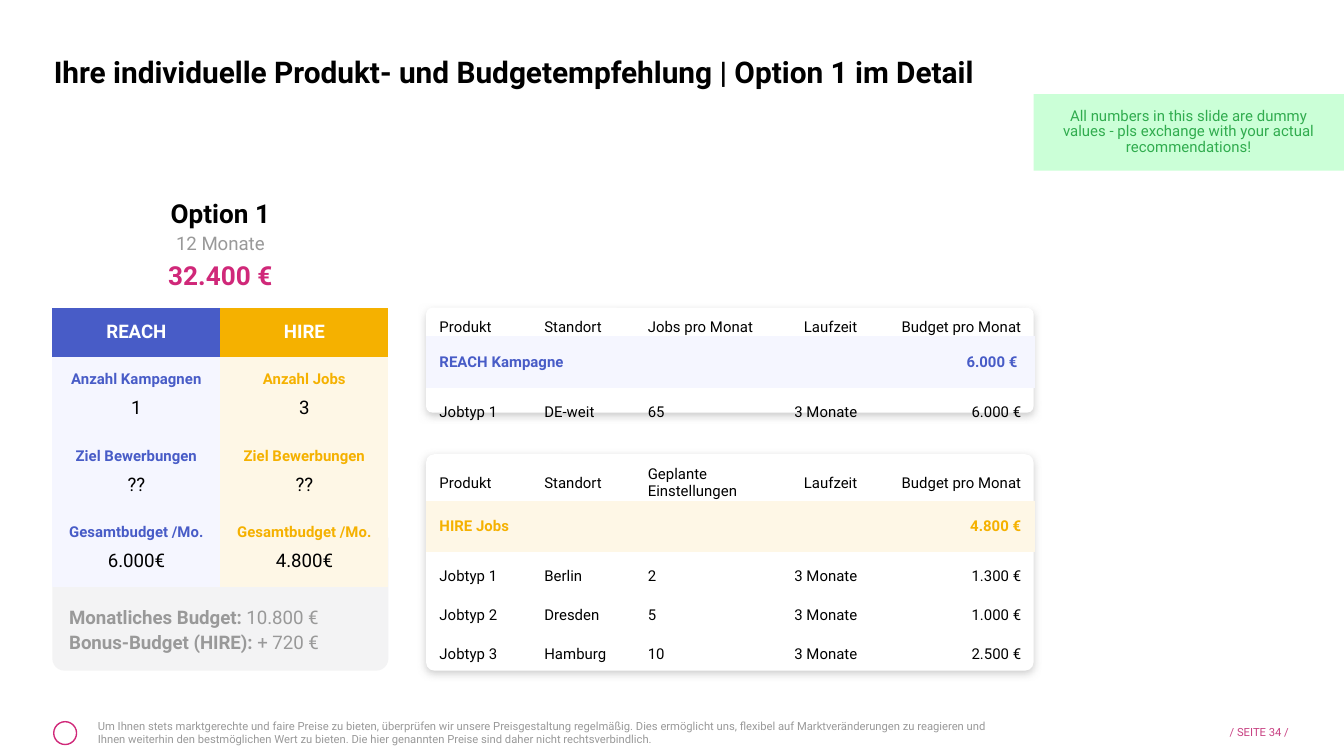
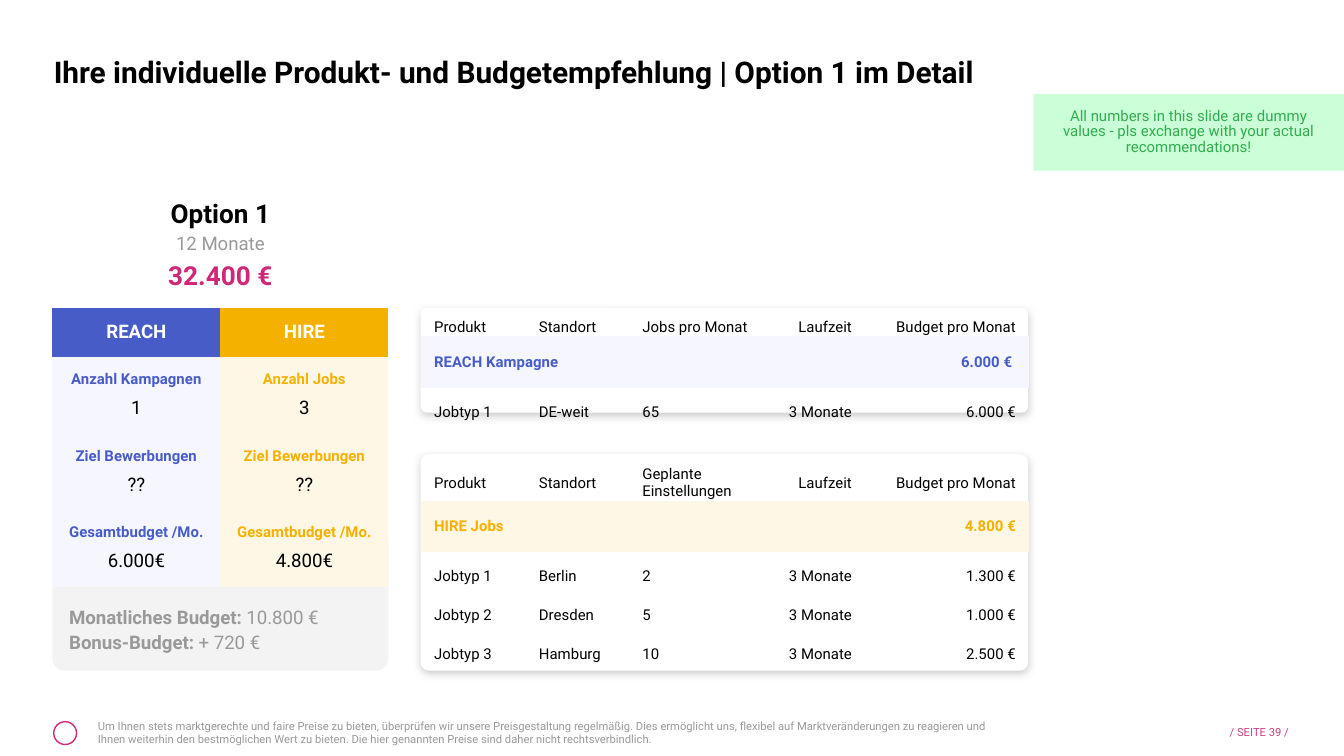
from lxml import etree
from pptx import Presentation
from pptx.dml.color import RGBColor
from pptx.enum.shapes import MSO_SHAPE
from pptx.enum.text import MSO_ANCHOR, MSO_AUTO_SIZE, PP_ALIGN
from pptx.oxml.ns import qn
from pptx.util import Inches, Pt

COLORS = {
    "white": "FFFFFF", "black": "000000", "grey": "999999", "panel": "F3F3F4",
    "pink": "D02879", "page": "C84182", "reach": "485CC7", "hire": "F5B100",
    "reach_tint": "F5F6FF", "hire_tint": "FEF7E6",
    "note": "CBFFD7", "note_text": "30AC4E",
}
FONT = "Roboto"
NO_STYLE_NO_GRID = "{2D5ABB26-0587-4C30-8999-92F81FD0307C}"
LEFT, CENTER, RIGHT = PP_ALIGN.LEFT, PP_ALIGN.CENTER, PP_ALIGN.RIGHT
TOP, MIDDLE, BOTTOM = MSO_ANCHOR.TOP, MSO_ANCHOR.MIDDLE, MSO_ANCHOR.BOTTOM

# Positions and lengths count columns and rows of a square grid, 100 columns wide.
SUMMARY_LEFT, SUMMARY_WIDTH = 3.9, 25
TABLES_TOP = 22.9
CARD_WIDTH = 45.2
PRODUCT_COLUMNS = [7.8, 7.7, 10.3, 7.3, 12.2]
PRODUCT_ALIGN = [LEFT, LEFT, LEFT, RIGHT, RIGHT]

TITLE = "Ihre individuelle Produkt- und Budgetempfehlung | Option 1 im Detail"
PRICE_NOTE = (
    "Um Ihnen stets marktgerechte und faire Preise zu bieten, überprüfen wir unsere "
    "Preisgestaltung regelmäßig. Dies ermöglicht uns, flexibel auf Marktveränderungen "
    "zu reagieren und Ihnen weiterhin den bestmöglichen Wert zu bieten. Die hier "
    "genannten Preise sind daher nicht rechtsverbindlich."
)
DUMMY_NOTE = ("All numbers in this slide are dummy values - pls exchange with your "
              "actual recommendations!")
SUMMARY = {
    "reach": [("Anzahl Kampagnen", "1"), ("Ziel Bewerbungen", "??"),
              ("Gesamtbudget /Mo.", "6.000€")],
    "hire": [("Anzahl Jobs", "3"), ("Ziel Bewerbungen", "??"),
             ("Gesamtbudget /Mo.", "4.800€")],
}
PRODUCTS = [
    {"tone": "hire", "top": 33.8, "height": 16.1, "corner": 0.038, "span": 1,
     "heights": [3.2, 2.9, 2.9, 2.9, 2.9],
     "rows": [
         ["Produkt", "Standort", "Geplante Einstellungen", "Laufzeit", "Budget pro Monat"],
         ["HIRE Jobs", "", "", "", "4.800 €"],
         ["Jobtyp 1", "Berlin", "2", "3 Monate", "1.300 €"],
         ["Jobtyp 2", "Dresden", "5", "3 Monate", "1.000 €"],
         ["Jobtyp 3", "Hamburg", "10", "3 Monate", "2.500 €"]]},
    {"tone": "reach", "top": TABLES_TOP, "height": 7.8, "corner": 0.061, "span": 2,
     "heights": [1.1, 2, 2.9],
     "rows": [
         ["Produkt", "Standort", "Jobs pro Monat", "Laufzeit", "Budget pro Monat"],
         ["REACH Kampagne", "", "", "", "6.000 € "],
         ["Jobtyp 1", "DE-weit", "65", "3 Monate", "6.000 €"]]},
]
SLIDES = [
    {"page": 34, "cards_left": 31.7, "bonus": "Bonus-Budget (HIRE):"},
    {"page": 39, "cards_left": 31.3, "bonus": "Bonus-Budget:"},
]


def rgb(name):
    return RGBColor.from_string(COLORS[name])


def set_all(target, values):
    for attribute, value in values.items():
        setattr(target, attribute, value)


def run(text, size, color, bold=False):
    return text, color, {"size": Pt(size), "bold": bold, "name": FONT}


def paragraph(*runs, **layout):
    return runs, layout


class Deck:
    """Holds the shared style, the grid and the slide being built."""

    def __init__(self):
        self.prs = Presentation()
        set_all(self.prs, {"slide_width": Inches(10), "slide_height": Inches(5.625)})
        self.slide = None

    def grid(self, *counts):
        return [round(count * self.prs.slide_width / 100) for count in counts]

    def new_slide(self):
        self.slide = self.prs.slides.add_slide(self.prs.slide_layouts[5])

    def add_paragraphs(self, frame, paragraphs):
        for index, (runs, layout) in enumerate(paragraphs):
            line = frame.add_paragraph() if index else frame.paragraphs[0]
            set_all(line, layout)
            for text, color, font in runs:
                piece = line.add_run()
                piece.text = text
                set_all(piece.font, font)
                piece.font.color.rgb = rgb(color)

    def inset(self, target, left=1, top=1, right=1, bottom=1):
        sides = ("margin_left", "margin_top", "margin_right", "margin_bottom")
        set_all(target, dict(zip(sides, self.grid(left, top, right, bottom))))

    def fill_frame(self, frame, paragraphs, anchor=TOP, inset=1, fit=MSO_AUTO_SIZE.NONE):
        set_all(frame, {"word_wrap": True, "auto_size": fit, "vertical_anchor": anchor})
        self.inset(frame, *[inset] * 4)
        self.add_paragraphs(frame, paragraphs)

    def title(self, text):
        heading = self.slide.shapes.title
        box = zip(("left", "top", "width", "height"), self.grid(4, 4, 91.9, 2.7))
        set_all(heading, dict(box))
        self.fill_frame(heading.text_frame,
                        [paragraph(run(text, 16, "black", True), alignment=LEFT)],
                        inset=0, fit=MSO_AUTO_SIZE.SHAPE_TO_FIT_TEXT)

    def text(self, box, paragraphs, **frame_options):
        label = self.slide.shapes.add_textbox(*self.grid(*box))
        self.fill_frame(label.text_frame, paragraphs, **frame_options)

    def shape(self, kind, box, fill=None, line=None, corners=(), paragraphs=(), anchor=MIDDLE):
        shape = self.slide.shapes.add_shape(kind, *self.grid(*box))
        shape.shadow.inherit = False
        for index, corner in enumerate(corners):
            shape.adjustments[index] = corner
        if fill:
            shape.fill.solid()
            shape.fill.fore_color.rgb = rgb(fill)
        else:
            shape.fill.background()
        if line:
            shape.line.color.rgb = rgb(line)
            shape.line.width = Pt(0.75)
        else:
            shape.line.fill.background()
        if paragraphs:
            self.fill_frame(shape.text_frame, paragraphs, anchor)
        return shape

    def card(self, box, corner):
        """White rounded card with a soft shadow below it."""
        card = self.shape(MSO_SHAPE.ROUNDED_RECTANGLE, box, "white", corners=[corner])
        effects = card._element.spPr.find(qn("a:effectLst"))
        shadow = etree.SubElement(effects, qn("a:outerShdw"), blurRad=str(Pt(4.5)),
                                  dist=str(Pt(1.5)), dir="5400000", algn="bl",
                                  rotWithShape="0")
        color = etree.SubElement(shadow, qn("a:srgbClr"), val=COLORS["grey"])
        etree.SubElement(color, qn("a:alpha"), val="50000")

    def table(self, left, top, columns, heights):
        frame = self.slide.shapes.add_table(
            len(heights), len(columns),
            *self.grid(left, top, sum(columns), sum(heights)))
        table = frame.table
        set_all(table, {"first_row": False, "horz_banding": False})
        table._tbl.tblPr.find(qn("a:tableStyleId")).text = NO_STYLE_NO_GRID
        for column, width in zip(table.columns, self.grid(*columns)):
            column.width = width
        for row, height in zip(table.rows, self.grid(*heights)):
            row.height = height
        return table

    def cell(self, cell, paragraphs, fill=None, anchor=MIDDLE, top=1, bottom=1):
        self.inset(cell, top=top, bottom=bottom)
        cell.vertical_anchor = anchor
        if fill:
            cell.fill.solid()
            cell.fill.fore_color.rgb = rgb(fill)
        else:
            cell.fill.background()
        self.add_paragraphs(cell.text_frame, paragraphs)

    def summary_table(self):
        table = self.table(SUMMARY_LEFT, TABLES_TOP, [SUMMARY_WIDTH / 2] * 2,
                           [3, 4.6, 4.6, 4.6])
        for column, (tone, figures) in enumerate(SUMMARY.items()):
            heading = paragraph(run(tone.upper(), 10, "white", True), alignment=CENTER)
            self.cell(table.cell(0, column), [heading], tone)
            for row, (label, value) in enumerate(figures, start=1):
                self.cell(table.cell(row, column), [
                    paragraph(run(label, 8, tone, True), alignment=CENTER),
                    paragraph(run(value, 10, "black"), alignment=CENTER,
                              space_before=Pt(5)),
                ], f"{tone}_tint", TOP)

    def product_table(self, left, product):
        table = self.table(left, product["top"], PRODUCT_COLUMNS, product["heights"])
        tone = product["tone"]
        for row, values in enumerate(product["rows"]):
            total = row == 1
            color, fill = (tone, f"{tone}_tint") if total else ("black", None)
            top, bottom = (0.4, 0.4) if total else (0.8, 0)
            for column, value in enumerate(values):
                texts = [paragraph(run(value, 8, color, total),
                                   alignment=PRODUCT_ALIGN[column])] if value else []
                self.cell(table.cell(row, column), texts, fill, top=top, bottom=bottom)
        if product["span"] > 1:
            table.cell(1, 0).merge(table.cell(1, product["span"] - 1))

    def footer(self, page):
        self.shape(MSO_SHAPE.OVAL, (4, 53.7, 1.7, 1.7), line="pink")
        self.text((86.6, 52.3, 9.3, 4.3),
                  [paragraph(run(f"/ SEITE {page} /", 6, "page"), alignment=RIGHT)],
                  anchor=MIDDLE, inset=0)
        self.text((6.3, 52.5, 70.1, 4), [paragraph(run(PRICE_NOTE, 6, "grey"))],
                  fit=MSO_AUTO_SIZE.SHAPE_TO_FIT_TEXT)

    def option_summary(self, bonus):
        budgets = [("Monatliches Budget:", " 10.800 €"), (bonus, " + 720 €")]
        self.shape(MSO_SHAPE.ROUND_2_SAME_RECTANGLE, (SUMMARY_LEFT, 40, SUMMARY_WIDTH, 9.9),
                   "panel", corners=[0, 0.091], anchor=BOTTOM, paragraphs=[
                       paragraph(run(label, 10, "grey", True), run(amount, 10, "grey"),
                                 alignment=LEFT, line_spacing=1.15)
                       for label, amount in budgets])
        self.shape(MSO_SHAPE.ROUND_2_SAME_RECTANGLE, (SUMMARY_LEFT, 13.4, SUMMARY_WIDTH, 9.9),
                   "white", corners=[0.095, 0], anchor=TOP, paragraphs=[
                       paragraph(run("Option 1", 14, "black", True), alignment=CENTER),
                       paragraph(run("12 Monate", 10, "grey"), alignment=CENTER,
                                 line_spacing=1.15),
                       paragraph(run("32.400 €", 14, "pink", True), alignment=CENTER,
                                 line_spacing=1.15)])
        self.summary_table()

    def dummy_note(self):
        self.shape(MSO_SHAPE.RECTANGLE, (76.9, 7, 23.1, 5.7), "note", paragraphs=[
            paragraph(run(DUMMY_NOTE, 8, "note_text"), alignment=CENTER,
                      line_spacing=0.86)])


def main():
    deck = Deck()
    for content in SLIDES:
        left = content["cards_left"]
        deck.new_slide()
        deck.title(TITLE)
        for product in PRODUCTS:
            deck.card((left, product["top"], CARD_WIDTH, product["height"]),
                      product["corner"])
        deck.option_summary(content["bonus"])
        for product in PRODUCTS:
            deck.product_table(left, product)
        deck.footer(content["page"])
        deck.dummy_note()
    deck.prs.save("out.pptx")


if __name__ == "__main__":
    main()
